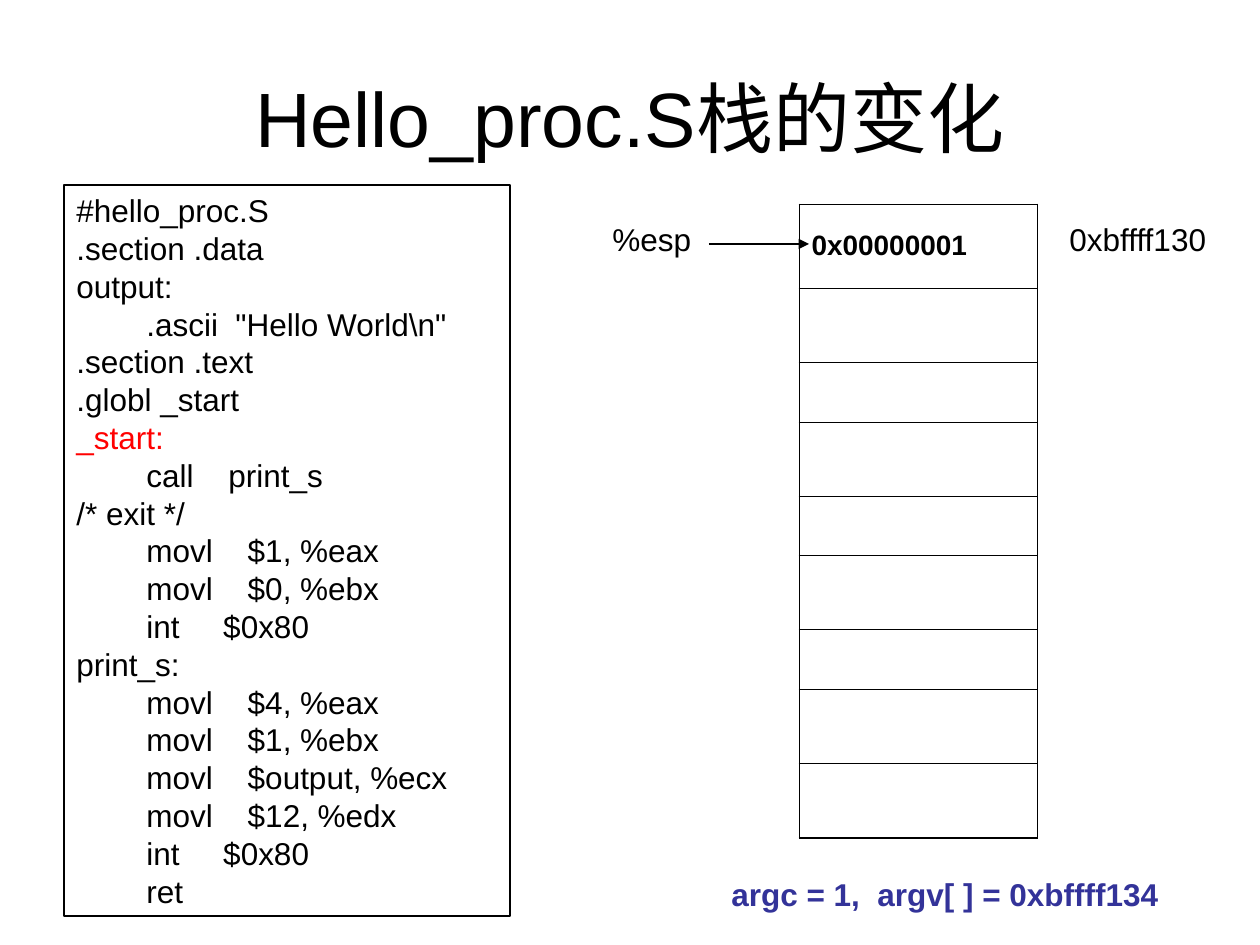
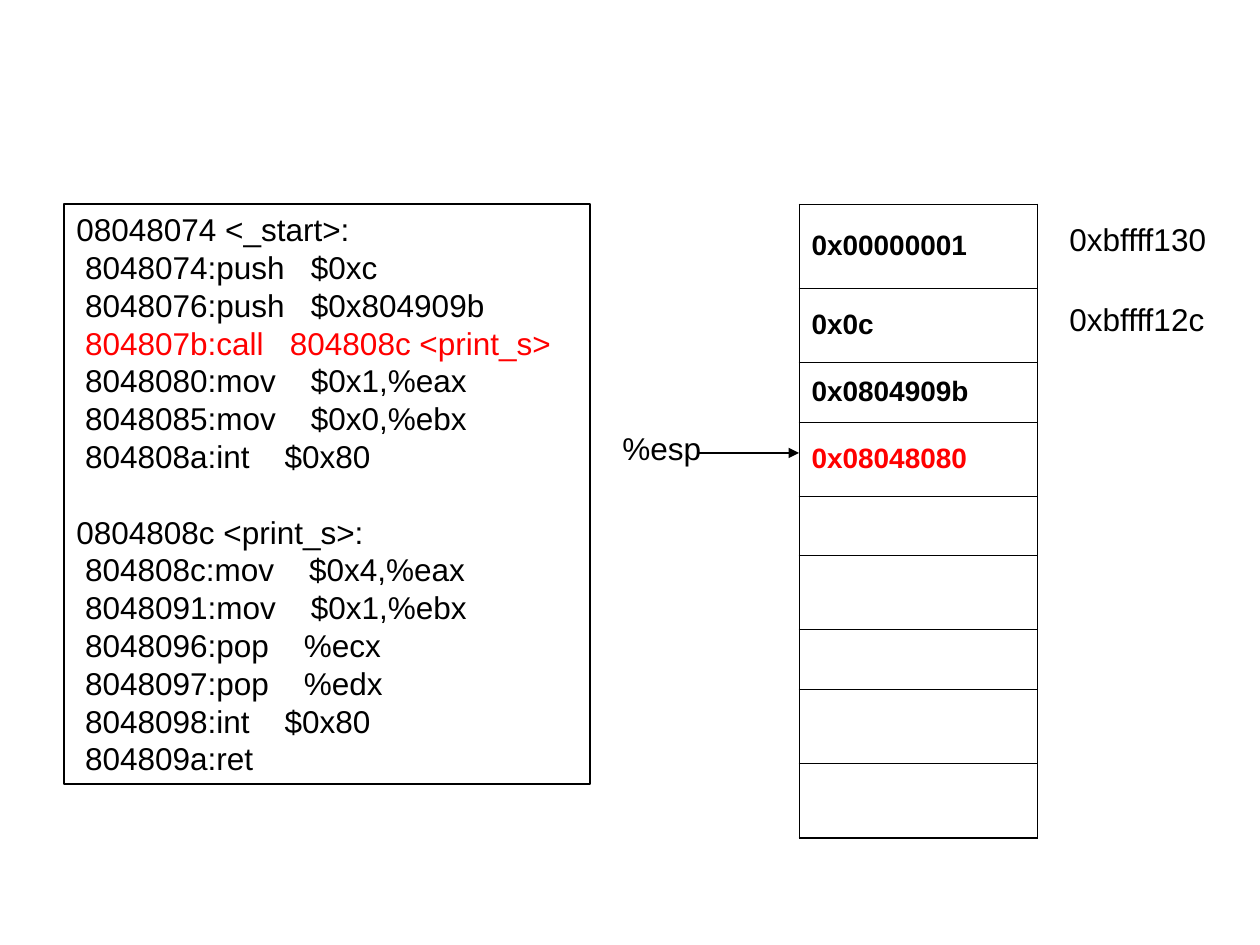
"""Build two slides that show how the stack changes in a small assembly program."""
from dataclasses import dataclass

from lxml import etree
from pptx import Presentation
from pptx.dml.color import RGBColor
from pptx.enum.shapes import MSO_CONNECTOR, MSO_SHAPE
from pptx.enum.text import MSO_ANCHOR, MSO_AUTO_SIZE, PP_ALIGN
from pptx.oxml.ns import qn
from pptx.util import Emu, Pt

RECT = MSO_SHAPE.RECTANGLE
STRAIGHT = MSO_CONNECTOR.STRAIGHT
TOP, MIDDLE = MSO_ANCHOR.TOP, MSO_ANCHOR.MIDDLE
LEFT, CENTER = PP_ALIGN.LEFT, PP_ALIGN.CENTER
FIXED = MSO_AUTO_SIZE.NONE


@dataclass(frozen=True)
class Theme:
    """Hold the colours, font, type sizes and line widths."""
    ink: str = "000000"
    hot: str = "FF0000"
    note: str = "333399"
    font: str = "Arial"
    title: int = 44
    body: int = 18
    cell: int = 16
    line: float = 0.75
    grid: float = 0.45
    base: float = 1.08


THEME = Theme()
STACK = (799, 204, 238)
ROWS = (84, 74, 60, 74, 60, 74, 60, 74, 74)

SOURCE = r"""#hello_proc.S
.section .data
output:
        .ascii  "Hello World\n"
.section .text
.globl _start
_start:
        call    print_s
/* exit */
        movl    $1, %eax
        movl    $0, %ebx
        int     $0x80
print_s:
        movl    $4, %eax
        movl    $1, %ebx
        movl    $output, %ecx
        movl    $12, %edx
        int     $0x80
        ret"""

DUMP = """08048074 <_start>:
 8048074:push   $0xc
 8048076:push   $0x804909b
 804807b:call   804808c <print_s>
 8048080:mov    $0x1,%eax
 8048085:mov    $0x0,%ebx
 804808a:int    $0x80

0804808c <print_s>:
 804808c:mov    $0x4,%eax
 8048091:mov    $0x1,%ebx
 8048096:pop    %ecx
 8048097:pop    %edx
 8048098:int    $0x80
 804809a:ret"""


def px(count):
    """Turn pixels into EMU."""
    return Emu(round(count * 914400 / 126))


def put(frame, text, size=THEME.body, tint=THEME.ink, bold=False,
        hot=None, align=LEFT, anchor=TOP):
    """Write lines of text into a frame, with one line marked."""
    frame.word_wrap = True
    frame.vertical_anchor = anchor
    for index, line in enumerate(text.split("\n")):
        para = frame.add_paragraph() if index else frame.paragraphs[0]
        para.alignment = align
        if not line:
            continue
        run = para.add_run()
        run.text = line
        font = run.font
        font.name, font.size, font.bold = THEME.font, Pt(size), bold
        shade = THEME.hot if line.strip() == hot else tint
        font.color.rgb = RGBColor.from_string(shade)


def title(slide, box, text):
    """Place and fill the title."""
    shape = slide.shapes.title
    shape.left, shape.top, shape.width, shape.height = map(px, box)
    shape.text_frame.auto_size = FIXED
    put(shape.text_frame, text, size=THEME.title, align=CENTER, anchor=MIDDLE)


def label(slide, box, text, **style):
    """Add a plain text box."""
    shape = slide.shapes.add_textbox(*map(px, box))
    put(shape.text_frame, text, **style)


def code(slide, box, text, hot):
    """Add a framed code listing."""
    shape = slide.shapes.add_shape(RECT, *map(px, box))
    shape.shadow.inherit = False
    shape.fill.background()
    shape.line.color.rgb = RGBColor.from_string(THEME.ink)
    shape.line.width = Pt(THEME.line)
    put(shape.text_frame, text, hot=hot)


def edge(cell, side, width):
    """Draw one border of a cell."""
    line = etree.SubElement(cell._tc.get_or_add_tcPr(), qn(f"a:ln{side}"),
                            w=str(Pt(width)))
    fill = etree.SubElement(line, qn("a:solidFill"))
    etree.SubElement(fill, qn("a:srgbClr"), val=THEME.ink)


def stack(slide, box, words, hot=None):
    """Add the stack as a table of one column."""
    left, top, width = box
    frame = slide.shapes.add_table(len(ROWS), 1, px(left), px(top),
                                   px(width), px(sum(ROWS)))
    table = frame.table
    table.first_row = table.horz_banding = False
    table.columns[0].width = px(width)
    for index, height in enumerate(ROWS):
        table.rows[index].height = px(height)
        cell = table.cell(index, 0)
        last = index == len(ROWS) - 1
        for side in "LRTB":
            edge(cell, side, THEME.base if last and side == "B" else THEME.grid)
        cell.fill.background()
        cell.vertical_anchor = MIDDLE
        if index < len(words):
            put(cell.text_frame, words[index], size=THEME.cell, bold=True,
                hot=hot, anchor=MIDDLE)


def marks(slide, box, names):
    """Add the addresses to the right of the stack."""
    left, top, width = box
    for index, name in enumerate(names):
        label(slide, (left + width + 20, top + 10 + 80 * index, 169, 50), name)


def point(slide, box, start):
    """Add the stack pointer and its arrow."""
    left, top, _, _ = box
    label(slide, box, "%esp")
    row = px(top + 30)
    arrow = slide.shapes.add_connector(STRAIGHT, px(left + start), row,
                                       px(left + start + 100), row)
    arrow.line.color.rgb = RGBColor.from_string(THEME.ink)
    arrow.line.width = Pt(THEME.line)
    etree.SubElement(arrow.line._get_or_add_ln(), qn("a:tailEnd"),
                     type="triangle")
    etree.SubElement(arrow._element.spPr, qn("a:effectLst"))


def first(deck):
    """Build the slide with the source and the first stack."""
    slide = deck.slides.add_slide(deck.slide_layouts[5])
    title(slide, (63, 38, 1134, 158), "Hello_proc.S栈的变化")
    code(slide, (64, 185, 446, 731), SOURCE, "_start:")
    stack(slide, STACK, ["0x00000001"])
    marks(slide, STACK, ["0xbffff130"])
    point(slide, (600, 214, 110, 50), 109)
    label(slide, (719, 869, 456, 50), "argc = 1,  argv[ ] = 0xbffff134",
          tint=THEME.note, bold=True)


def second(deck):
    """Build the slide with the dump and the stack after the call."""
    slide = deck.slides.add_slide(deck.slide_layouts[6])
    code(slide, (64, 204, 526, 580), DUMP, "804807b:call   804808c <print_s>")
    stack(slide, STACK, ["0x00000001", "0x0c", "0x0804909b", "0x08048080"],
          hot="0x08048080")
    marks(slide, STACK, ["0xbffff130", "0xbffff12c"])
    point(slide, (610, 423, 110, 50), 89)


def main():
    """Build and save the deck."""
    deck = Presentation()
    deck.slide_width, deck.slide_height = px(1260), px(945)
    first(deck)
    second(deck)
    deck.save("out.pptx")


if __name__ == "__main__":
    main()
